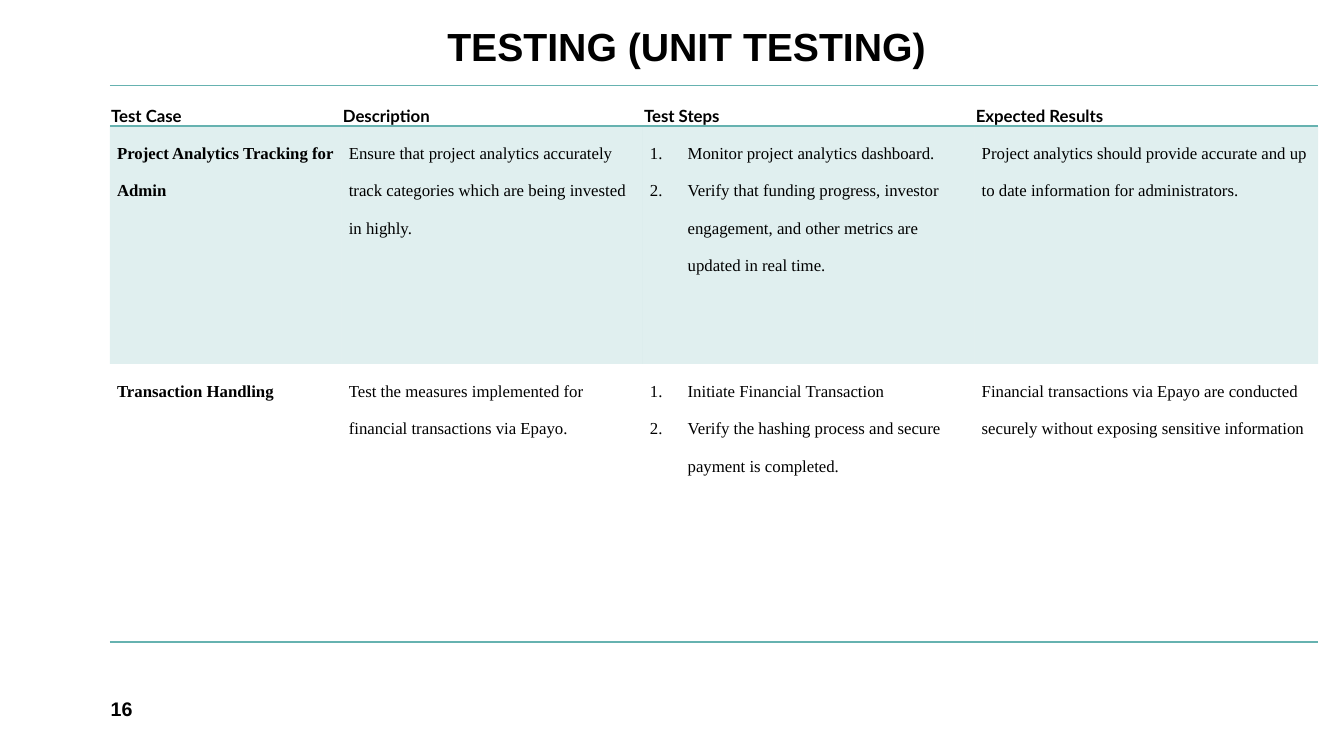
import dataclasses

import lxml.etree
import pptx
import pptx.dml.color
import pptx.enum.text
import pptx.oxml.ns
import pptx.util

Cm = pptx.util.Cm
Pt = pptx.util.Pt
Anchor = pptx.enum.text.MSO_ANCHOR
qn = pptx.oxml.ns.qn


@dataclasses.dataclass(frozen=True)
class Theme:
    ink: str = "000000"
    teal: str = "66B2B0"
    tint_alpha: int = 20000
    rule_width: float = 1
    title_size: int = 28
    number_size: int = 14
    table_size: int = 12
    heading_font: str = "Arial"
    header_font: str = "Lato"
    body_font: str = "Times New Roman"


THEME = Theme()
COLUMN_WIDTHS = (5.84, 7.59, 8.36, 8.66)
ROW_HEIGHTS = (0.86, 5.99, 7.01)
STEP_INDENT = 0.95

HEADERS = ("Test Case", "Description", "Test Steps", "Expected Results")
# A list in a row is shown as numbered steps
TEST_CASES = (
    (
        "Project Analytics Tracking for Admin",
        "Ensure that project analytics accurately track categories which are being "
        "invested in highly.",
        ["Monitor project analytics dashboard.",
         "Verify that funding progress, investor engagement, and other metrics are "
         "updated in real time."],
        "Project analytics should provide accurate and up to date information for "
        "administrators.",
    ),
    (
        "Transaction Handling",
        "Test the measures implemented for financial transactions via Epayo.",
        ["Initiate Financial Transaction",
         "Verify the hashing process and secure payment is completed."],
        "Financial transactions via Epayo are conducted securely without exposing "
        "sensitive information",
    ),
)


def apply_format(target, values):
    for name, value in values.items():
        setattr(target, name, value)


def write_span(para, text, font, size, bold):
    span = para.add_run()
    span.text = text
    apply_format(span.font, {"name": font, "size": Pt(size), "bold": bold})
    span.font.color.rgb = pptx.dml.color.RGBColor.from_string(THEME.ink)


def place(box, left, top, width, height):
    apply_format(box, {"left": Cm(left), "top": Cm(top),
                       "width": Cm(width), "height": Cm(height)})


def add_title(page, text):
    box = page.shapes.title
    place(box, 11.02, 0.2, 20.35, 1.68)
    apply_format(box.text_frame, {
        "word_wrap": True,
        "vertical_anchor": Anchor.BOTTOM,
        "auto_size": pptx.enum.text.MSO_AUTO_SIZE.NONE,
    })
    para = box.text_frame.paragraphs[0]
    apply_format(para, {"alignment": pptx.enum.text.PP_ALIGN.LEFT, "line_spacing": 0.9})
    write_span(para, text, THEME.heading_font, THEME.title_size, True)


def add_page_number(page, text):
    box = page.shapes.add_textbox(Cm(2.54), Cm(17.35), Cm(7.42), Cm(1.02))
    apply_format(box.text_frame, {"word_wrap": True, "vertical_anchor": Anchor.MIDDLE})
    write_span(box.text_frame.paragraphs[0], text,
               THEME.heading_font, THEME.number_size, True)


def number_step(para):
    properties = para._p.get_or_add_pPr()
    properties.set("marL", str(Cm(STEP_INDENT)))
    properties.set("indent", str(-Cm(STEP_INDENT)))
    lxml.etree.SubElement(properties, qn("a:buAutoNum"), type="arabicPeriod")


def set_borders(cell, ruled_sides):
    properties = cell._tc.get_or_add_tcPr()
    for index, side in enumerate("LRTB"):
        line = lxml.etree.Element(qn(f"a:ln{side}"))
        if side in ruled_sides:
            line.set("w", str(Pt(THEME.rule_width)))
            fill = lxml.etree.SubElement(line, qn("a:solidFill"))
            lxml.etree.SubElement(fill, qn("a:srgbClr"), val=THEME.teal)
        else:
            line.set("w", "0")
            lxml.etree.SubElement(line, qn("a:noFill"))
        properties.insert(index, line)


def tint_cell(cell):
    cell.fill.solid()
    cell.fill.fore_color.rgb = pptx.dml.color.RGBColor.from_string(THEME.teal)
    color = cell._tc.tcPr.find(f"{qn('a:solidFill')}/{qn('a:srgbClr')}")
    lxml.etree.SubElement(color, qn("a:alpha"), val=str(THEME.tint_alpha))


def fill_cell(cell, content, font, bold, inset):
    apply_format(cell, {"margin_left": Cm(inset), "margin_right": Cm(inset),
                        "margin_top": 0, "margin_bottom": 0,
                        "vertical_anchor": Anchor.TOP})
    numbered = isinstance(content, list)
    frame = cell.text_frame
    for index, text in enumerate(content if numbered else [content]):
        para = frame.add_paragraph() if index else frame.paragraphs[0]
        if numbered:
            number_step(para)
        para.line_spacing = 2.0
        write_span(para, text, font, THEME.table_size, bold)


def add_test_table(page):
    rows = (HEADERS, *TEST_CASES)
    table = page.shapes.add_table(
        len(rows), len(HEADERS), Cm(2.77), Cm(2.16),
        Cm(sum(COLUMN_WIDTHS)), Cm(sum(ROW_HEIGHTS))).table
    apply_format(table, {"first_row": False, "horz_banding": False})
    for column, width in zip(table.columns, COLUMN_WIDTHS):
        column.width = Cm(width)
    for row, height in zip(table.rows, ROW_HEIGHTS):
        row.height = Cm(height)

    # Rules frame the header and close the table; the first case is tinted
    ruled_sides = ("TB", "T", "B")
    for row_index, contents in enumerate(rows):
        header = row_index == 0
        for column_index, content in enumerate(contents):
            cell = table.cell(row_index, column_index)
            fill_cell(cell, content,
                      font=THEME.header_font if header else THEME.body_font,
                      bold=header or column_index == 0,
                      inset=0.03 if header else 0.18)
            if row_index == 1:
                tint_cell(cell)
            else:
                cell.fill.background()
            set_borders(cell, ruled_sides[row_index])


def main():
    deck = pptx.Presentation()
    apply_format(deck, {"slide_width": Cm(33.87), "slide_height": Cm(19.05)})
    page = deck.slides.add_slide(deck.slide_layouts[5])
    add_title(page, "TESTING (UNIT TESTING)")
    add_page_number(page, "16")
    add_test_table(page)
    deck.save("out.pptx")


if __name__ == "__main__":
    main()
